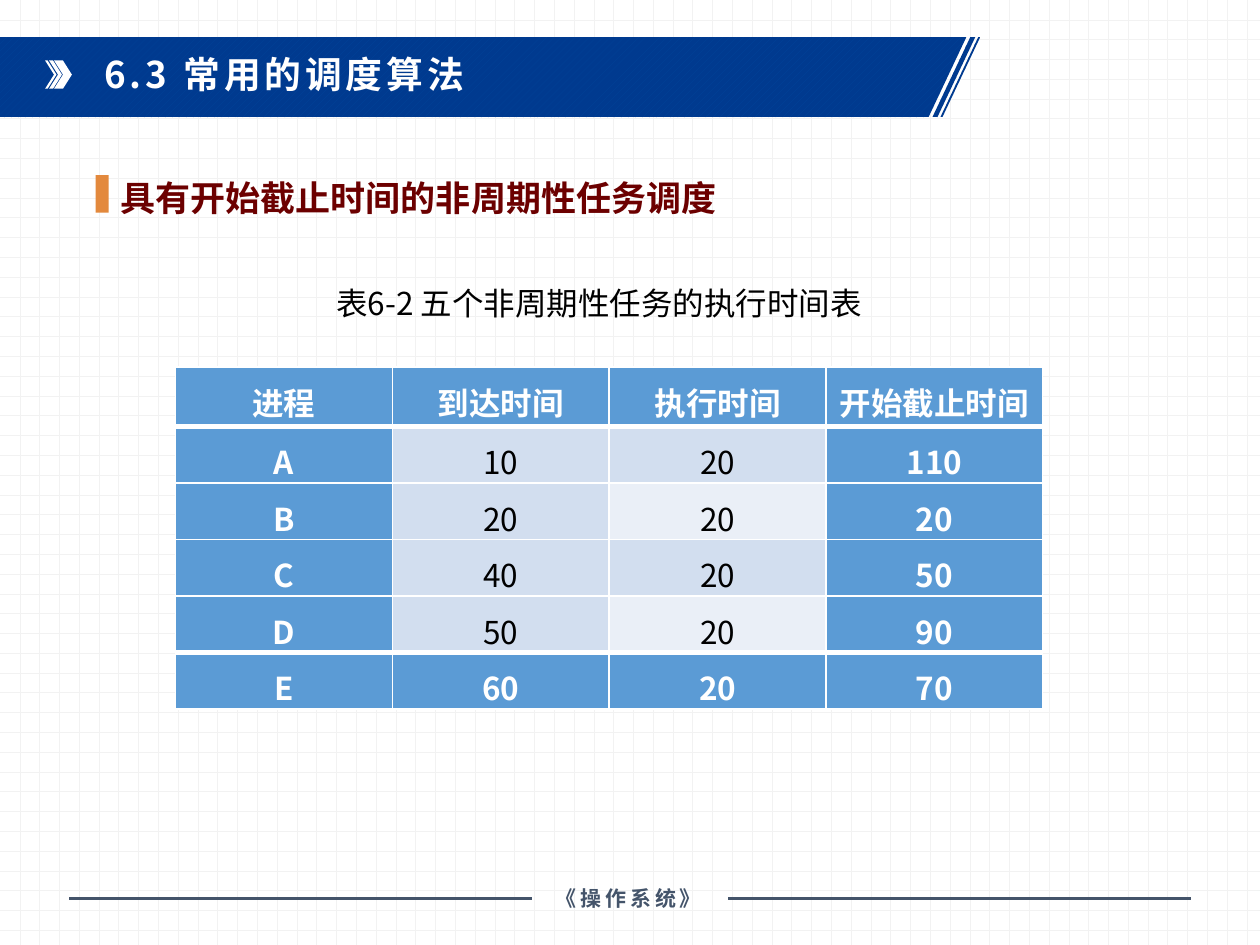
"""Build the slide on scheduling aperiodic tasks with starting deadlines."""
from dataclasses import dataclass
from typing import Optional

from lxml.etree import SubElement
from pptx import Presentation
from pptx.dml.color import RGBColor
from pptx.enum.dml import MSO_PATTERN as Pattern
from pptx.enum.shapes import MSO_CONNECTOR as Connector, MSO_SHAPE as Shape
from pptx.enum.text import MSO_ANCHOR as Anchor, MSO_AUTO_SIZE as AutoSize, PP_ALIGN as Align
from pptx.oxml.ns import qn
from pptx.util import Cm, Pt

WHITE = RGBColor(0xFF, 0xFF, 0xFF)
BLACK = RGBColor(0, 0, 0)
GRID = RGBColor(0xF2, 0xF2, 0xF2)
NAVY = RGBColor(0x00, 0x3A, 0x8F)
NAVY_STRIPE = RGBColor(0x00, 0x44, 0x9A)
SLATE = RGBColor(0x44, 0x54, 0x6A)
MAROON = RGBColor(0x6C, 0, 0)
ORANGE = RGBColor(0xE3, 0x89, 0x3D)
TABLE_BLUE = RGBColor(0x5B, 0x9B, 0xD5)
BAND_DARK = RGBColor(0xD2, 0xDE, 0xEF)
BAND_LIGHT = RGBColor(0xEA, 0xEF, 0xF7)

CJK_FONT = "Noto Sans CJK SC"
RIBBON_TOP, RIBBON_BOTTOM, RIBBON_SLANT = 0.75, 2.36, 0.76
ARROW_TOP, ARROW_HEIGHT, ARROW_TIP = 1.22, 0.57, 0.18
RULE_Y = 18.11

TASKS = [
    ("进程", "到达时间", "执行时间", "开始截止时间"),
    ("A", "10", "20", "110"),
    ("B", "20", "20", "20"),
    ("C", "40", "20", "50"),
    ("D", "50", "20", "90"),
    ("E", "60", "20", "70"),
]


@dataclass(frozen=True)
class Area:
    left: float
    top: float
    width: float
    height: float

    def lengths(self) -> tuple:
        return Cm(self.left), Cm(self.top), Cm(self.width), Cm(self.height)


@dataclass(frozen=True)
class Style:
    size: float
    color: RGBColor
    bold: bool = True
    name: str = CJK_FONT
    tracking: float = 0
    line_spacing: Optional[float] = None
    align: Align = Align.LEFT


def write(frame, text: str, style: Style) -> None:
    frame.text = text
    para = frame.paragraphs[0]
    para.alignment = style.align
    para.space_before = Pt(0)
    if style.line_spacing:
        para.line_spacing = style.line_spacing
    font = para.font
    font.size, font.bold, font.name = Pt(style.size), style.bold, style.name
    font.color.rgb = style.color
    properties = para._p.pPr.find(qn("a:defRPr"))
    if style.tracking:
        properties.set("spc", str(round(style.tracking * 100)))
    SubElement(properties, qn("a:ea")).set("typeface", CJK_FONT)


def add_text(page, area: Area, text: str, style: Style, anchor: Anchor = Anchor.TOP):
    box = page.shapes.add_textbox(*area.lengths())
    box.text_frame.word_wrap = True
    box.text_frame.vertical_anchor = anchor
    write(box.text_frame, text, style)
    return box


def fill_plain(shape, color: RGBColor) -> None:
    shape.shadow.inherit = False
    shape.fill.solid()
    shape.fill.fore_color.rgb = color
    shape.line.fill.background()


def add_outline(page, contours: list):
    scaled = [[(Cm(x), Cm(y)) for x, y in contour] for contour in contours]
    builder = page.shapes.build_freeform(*scaled[0][0])
    builder.add_line_segments(scaled[0][1:])
    for contour in scaled[1:]:
        builder.move_to(*contour[0])
        builder.add_line_segments(contour[1:])
    shape = builder.convert_to_shape()
    fill_plain(shape, WHITE)
    return shape


def fill_pattern(fill, pattern: Pattern, fore: RGBColor, back: RGBColor) -> None:
    fill.patterned()
    fill.pattern = pattern
    fill.fore_color.rgb, fill.back_color.rgb = fore, back


def add_ribbon(page) -> None:
    contours = []
    for left, right in ((19.72, 19.76), (19.56, 19.66), (0, 19.48)):
        bottom_left = max(left - RIBBON_SLANT, 0)
        contours.append([(left, RIBBON_TOP), (right, RIBBON_TOP),
                         (right - RIBBON_SLANT, RIBBON_BOTTOM), (bottom_left, RIBBON_BOTTOM)])
    ribbon = add_outline(page, contours)
    fill_pattern(ribbon.fill, Pattern.WIDE_UPWARD_DIAGONAL, NAVY_STRIPE, NAVY)


def add_arrows(page) -> None:
    chevron = page.shapes.add_shape(Shape.CHEVRON, *Area(1.09, ARROW_TOP, 0.36, ARROW_HEIGHT).lengths())
    fill_plain(chevron, WHITE)
    middle, bottom = ARROW_TOP + ARROW_HEIGHT / 2, ARROW_TOP + ARROW_HEIGHT
    for left, thickness in ((0.99, 0.08), (0.91, 0.05)):
        right = left + thickness
        add_outline(page, [[(left, ARROW_TOP), (right, ARROW_TOP), (right + ARROW_TIP, middle),
                            (right, bottom), (left, bottom), (left + ARROW_TIP, middle)]])


def add_rule(page, start: float, end: float) -> None:
    rule = page.shapes.add_connector(Connector.STRAIGHT, Cm(start), Cm(RULE_Y), Cm(end), Cm(RULE_Y))
    rule.line.color.rgb = SLATE
    rule.line.width = Pt(2)
    SubElement(rule._element.spPr, qn("a:effectLst"))


def add_border(cell, side: str, points: float) -> None:
    line = SubElement(cell._tc.get_or_add_tcPr(), qn(f"a:ln{side}"), w=str(Pt(points)))
    SubElement(SubElement(line, qn("a:solidFill")), qn("a:srgbClr")).set("val", str(WHITE))


def cell_color(row: int, column: int) -> RGBColor:
    last_row, last_column = len(TASKS) - 1, len(TASKS[0]) - 1
    if row in (0, last_row) or column in (0, last_column):
        return TABLE_BLUE
    return BAND_LIGHT if column == 2 and row % 2 == 0 else BAND_DARK


def add_task_table(page) -> None:
    last = len(TASKS) - 1
    area = Area(3.54, 7.4, 17.48, 6.91)
    table = page.shapes.add_table(len(TASKS), len(TASKS[0]), *area.lengths()).table
    for column in table.columns:
        column.width = Cm(4.37)
    for index, values in enumerate(TASKS):
        table.rows[index].height = Cm(1.14 if index else 1.2)
        for column, text in enumerate(values):
            cell = table.cell(index, column)
            top = 3 if index in (1, last) else 1
            bottom = 3 if index in (0, last - 1) else 1
            for side, points in (("L", 1), ("R", 1), ("T", top), ("B", bottom)):
                add_border(cell, side, points)
            color = cell_color(index, column)
            cell.fill.solid()
            cell.fill.fore_color.rgb = color
            cell.margin_left = cell.margin_right = Cm(0.18)
            cell.margin_top = cell.margin_bottom = 0
            strong = color == TABLE_BLUE
            write(cell.text_frame, text, Style(18, WHITE if strong else BLACK, strong,
                                               line_spacing=1.25, align=Align.CENTER))


def place_title(page) -> None:
    title = page.shapes.title
    page.shapes.element.append(title.element)
    title.left, title.top, title.width, title.height = Area(1.85, 1.02, 15.85, 1.42).lengths()
    title.text_frame.auto_size = AutoSize.NONE
    title.text_frame.vertical_anchor = Anchor.TOP
    write(title.text_frame, "6.3 常用的调度算法", Style(21, WHITE, tracking=2.2, line_spacing=0.9))


def main() -> None:
    deck = Presentation()
    deck.slide_width, deck.slide_height = Cm(25.4), Cm(19.05)
    page = deck.slides.add_slide(deck.slide_layouts[5])
    fill_pattern(page.background.fill, Pattern.DOTTED_GRID, GRID, WHITE)
    add_ribbon(page)
    add_arrows(page)
    add_text(page, Area(10.69, 17.73, 3.96, 0.76), "《操作系统》",
             Style(12, SLATE, name="Arial", tracking=2.2, align=Align.CENTER), Anchor.MIDDLE)
    add_rule(page, 24, 14.68)
    add_rule(page, 10.72, 1.4)
    place_title(page)
    add_text(page, Area(2.18, 3.23, 12.62, 1.32), "具有开始截止时间的非周期性任务调度",
             Style(20, MAROON, line_spacing=1.25))
    marker = page.shapes.add_shape(Shape.RECTANGLE, *Area(1.93, 3.53, 0.26, 0.76).lengths())
    fill_plain(marker, ORANGE)
    add_task_table(page)
    caption = add_text(page, Area(6.53, 5.59, 11.15, 1.8), "表6-2 五个非周期性任务的执行时间表",
                       Style(18, BLACK, False, line_spacing=Pt(21)), Anchor.MIDDLE)
    caption.text_frame.margin_top, caption.text_frame.margin_bottom = 0, Cm(0.74)
    deck.save("out.pptx")


if __name__ == "__main__":
    main()
